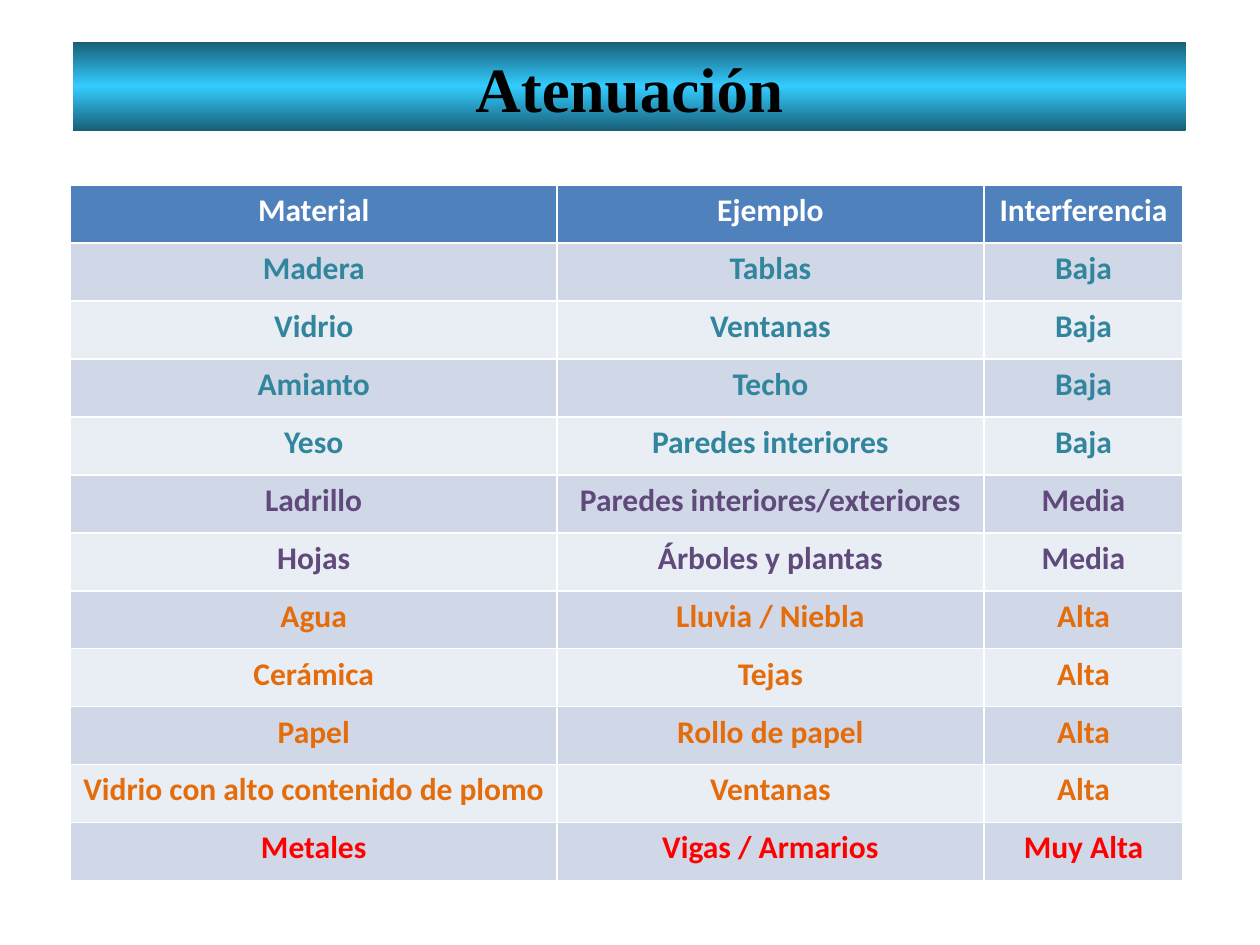
from lxml import etree
from pptx import Presentation
from pptx.dml.color import RGBColor as Rgb
from pptx.enum.text import MSO_ANCHOR as Anchor, PP_ALIGN as Align
from pptx.oxml.ns import qn
from pptx.util import Inches, Pt

# Content: each group of materials shares one level of interference
TITLE = "Atenuación"
HEADER = ("Material", "Ejemplo", "Interferencia")
GROUPS = [
    ("Baja", [("Madera", "Tablas"), ("Vidrio", "Ventanas"),
              ("Amianto", "Techo"), ("Yeso", "Paredes interiores")]),
    ("Media", [("Ladrillo", "Paredes interiores/exteriores"),
               ("Hojas", "Árboles y plantas")]),
    ("Alta", [("Agua", "Lluvia / Niebla"), ("Cerámica", "Tejas"),
              ("Papel", "Rollo de papel"),
              ("Vidrio con alto contenido de plomo", "Ventanas")]),
    ("Muy Alta", [("Metales", "Vigas / Armarios")]),
]
COLORS = {
    "Baja": "31859C", "Media": "604A7B", "Alta": "E46C0A", "Muy Alta": "FF0000",
    "header": "4F81BD", "header text": "FFFFFF", "odd": "D0D8E8", "even": "E9EDF4",
    "title": "000000", "edge": "185E76", "glow": "33CCFF",
}
TITLE_BOX = {"left": 0.58, "top": 0.33, "width": 8.83, "height": 0.71}
TABLE_LEFT, TABLE_TOP, ROW_HEIGHT = 0.56, 1.47, 0.46
COLUMN_WIDTHS = (3.86, 3.39, 1.58)


def write(frame, text, name, size, color):
    """Put one centred bold paragraph into a text frame."""
    para = frame.paragraphs[0]
    para.alignment = Align.CENTER
    span = para.add_run()
    span.text = text
    for key, value in {"name": name, "size": Pt(size), "bold": True}.items():
        setattr(span.font, key, value)
    span.font.color.rgb = Rgb.from_string(COLORS[color])


def add_title(page):
    box = page.shapes.title
    for key, value in TITLE_BOX.items():
        setattr(box, key, Inches(value))
    # Vertical gradient, bright in the middle
    box.fill.gradient()
    box.fill.gradient_angle = 270
    stops = box.element.spPr.find(".//" + qn("a:gsLst"))
    for stop in list(stops):
        stops.remove(stop)
    for percent, color in ((0, "edge"), (50, "glow"), (100, "edge")):
        stop = etree.SubElement(stops, qn("a:gs"), pos=str(percent * 1000))
        etree.SubElement(stop, qn("a:srgbClr"), val=COLORS[color])
    box.text_frame.vertical_anchor = Anchor.BOTTOM
    write(box.text_frame, TITLE, "Times New Roman", 36, "title")


def add_materials(page):
    rows = [(HEADER, "header text", "header")]
    for level, materials in GROUPS:
        for material in materials:
            band = "odd" if len(rows) % 2 else "even"
            rows.append(((*material, level), level, band))
    table = page.shapes.add_table(
        len(rows), len(HEADER), Inches(TABLE_LEFT), Inches(TABLE_TOP),
        Inches(sum(COLUMN_WIDTHS)), Inches(ROW_HEIGHT * len(rows))).table
    for column, width in zip(table.columns, COLUMN_WIDTHS):
        column.width = Inches(width)
    for row, (texts, color, fill) in zip(table.rows, rows):
        for cell, text in zip(row.cells, texts):
            cell.fill.solid()
            cell.fill.fore_color.rgb = Rgb.from_string(COLORS[fill])
            write(cell.text_frame, text, "Calibri", 18, color)


def main():
    deck = Presentation()
    deck.slide_width, deck.slide_height = Inches(10), Inches(7.5)
    page = deck.slides.add_slide(deck.slide_layouts[5])
    add_materials(page)
    add_title(page)
    deck.save("out.pptx")


if __name__ == "__main__":
    main()
